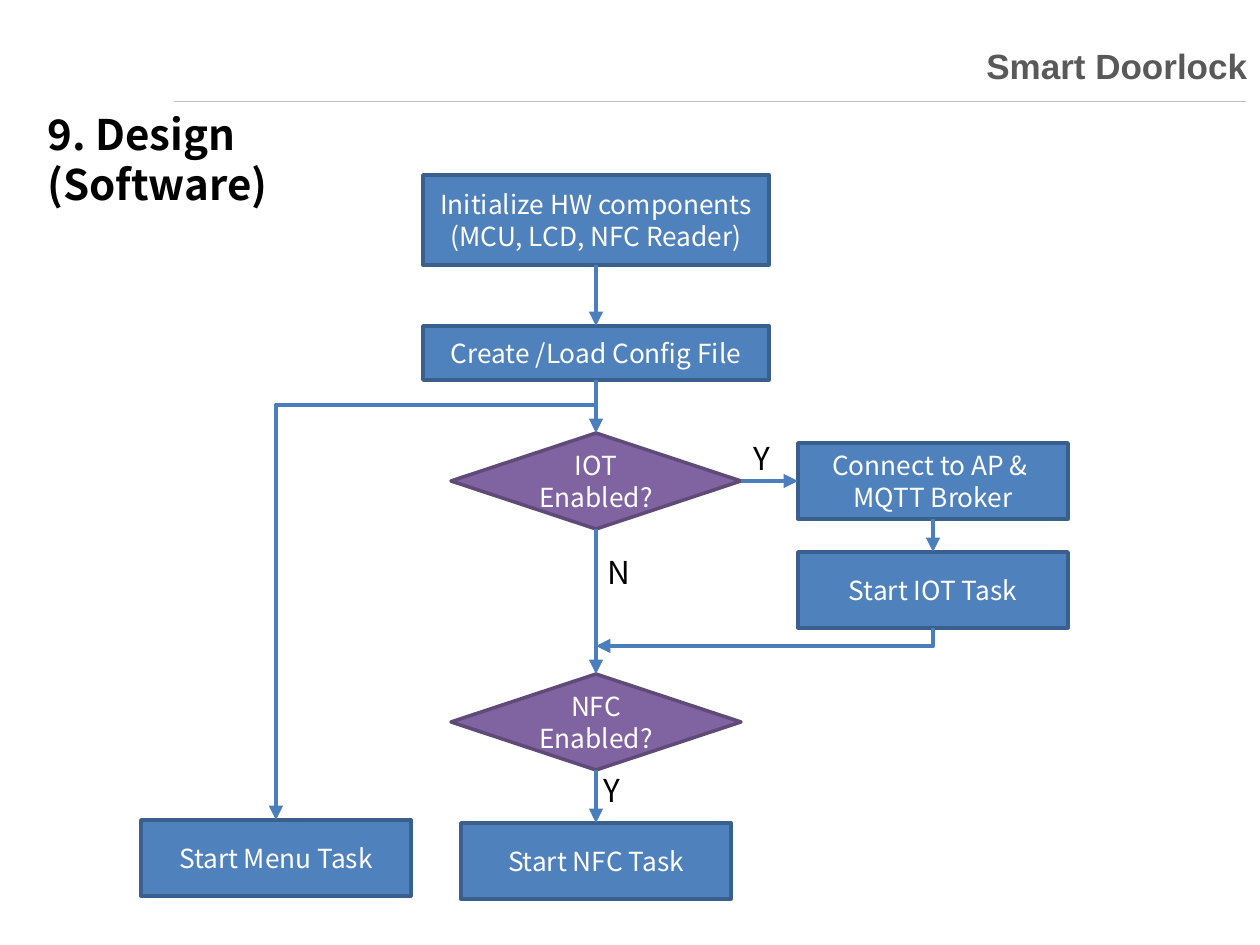
"""Build the Smart Doorlock software design flowchart slide."""
from lxml.etree import SubElement
from pptx import Presentation
from pptx.dml.color import RGBColor
from pptx.enum.dml import MSO_LINE
from pptx.enum.shapes import MSO_CONNECTOR as Link, MSO_SHAPE as Form
from pptx.enum.text import MSO_ANCHOR as Anchor, PP_ALIGN as Align
from pptx.oxml.ns import qn
from pptx.util import Pt

HUES = {"blue": "4F81BD", "navy": "3A5F8C", "purple": "8064A2", "plum": "5F4A78",
        "arrow": "4B7EBC", "rule": "BFBFBF", "title": "595959",
        "white": "FFFFFF", "black": "000000"}
FONT = "Noto Sans CJK KR"
MID, SIDE, MENU = 596, 933, 276
STEP = (Form.RECTANGLE, "blue", "navy")
TEST = (Form.FLOWCHART_DECISION, "purple", "plum")

NODES = {
    "init": (STEP, MID, 175, 346, 90, "Initialize HW components\v(MCU, LCD, NFC Reader)"),
    "config": (STEP, MID, 326, 346, 54, "Create /Load Config File"),
    "iot?": (TEST, MID, 433, 290, 96, "IOT\vEnabled?"),
    "connect": (STEP, SIDE, 443, 270, 76, "Connect to AP & \nMQTT Broker"),
    "iot": (STEP, SIDE, 552, 270, 76, "Start IOT Task"),
    "nfc?": (TEST, MID, 674, 290, 96, "NFC\nEnabled?"),
    "nfc": (STEP, MID, 823, 270, 76, "Start NFC Task"),
    "menu": (STEP, MENU, 820, 270, 76, "Start Menu Task"),
}
FLOWS = [("init", 2, "config", 0), ("config", 2, "iot?", 0), ("iot?", 3, "connect", 1),
         ("connect", 2, "iot", 0), ("iot?", 2, "nfc?", 0), ("nfc?", 2, "nfc", 0)]
BENDS = [(MID, 405, "menu", 0, "tailEnd"), (MID, 646, "iot", 2, "headEnd")]
LABELS = [("9. Design (Software)", 35, 102, 430, 63, 24, True),
          ("Y", 741, 433, 43, 50, 18, False),
          ("N", 595, 547, 49, 50, 18, False),
          ("Y", 591, 765, 43, 50, 18, False)]


def px(*nums):
    return [round(n * 914400 / 126) for n in nums]


def hue(name):
    return RGBColor.from_string(HUES[name])


def write(frame, text, size=15, color="white", bold=False, font=FONT,
          align=Align.CENTER, anchor=Anchor.MIDDLE, wrap=True):
    frame.word_wrap = wrap
    frame.vertical_anchor = anchor
    frame.text = text
    for para in frame.paragraphs:
        para.alignment = align
        for run in para.runs:
            run.font.name, run.font.size, run.font.bold = font, Pt(size), bold
            run.font.color.rgb = hue(color)


def draw(kind, ends, color="arrow", width=2.75, tip=None):
    link = slide.shapes.add_connector(kind, *px(*ends))
    link.line.color.rgb = hue(color)
    link.line.width = Pt(width)
    if tip:
        SubElement(link.line._get_or_add_ln(), qn("a:" + tip), type="triangle")
    SubElement(link._element.spPr, qn("a:effectLst"))
    return link


deck = Presentation()
deck.slide_width, deck.slide_height = px(1260, 945)
slide = deck.slides.add_slide(deck.slide_layouts[5])

rule = draw(Link.STRAIGHT, (174, 101, 1245, 101), "rule", 0.25)
rule.line.dash_style = MSO_LINE.ROUND_DOT
title = slide.shapes.title
title.left, title.top, title.width, title.height = px(126, 37, 1134, 57)
write(title.text_frame, "Smart Doorlock", size=20, color="title", bold=True,
      font="Arial", align=Align.RIGHT)

boxes = {}
for key, ((form, fill, edge), mid, top, wide, high, text) in NODES.items():
    box = slide.shapes.add_shape(form, *px(mid - wide / 2, top, wide, high))
    box.shadow.inherit = False
    box.fill.solid()
    box.fill.fore_color.rgb = hue(fill)
    box.line.color.rgb = hue(edge)
    box.line.width = Pt(2)
    write(box.text_frame, text)
    boxes[key] = box

for start, out, end, into in FLOWS:
    link = draw(Link.STRAIGHT, (0, 0, 0, 0), tip="tailEnd")
    link.begin_connect(boxes[start], out)
    link.end_connect(boxes[end], into)

for x, y, key, site, tip in BENDS:
    link = draw(Link.ELBOW, (x, y, x, y), tip=tip)
    link._element.spPr.find(qn("a:prstGeom")).set("prst", "bentConnector2")
    link.end_connect(boxes[key], site)

for text, left, top, wide, high, size, bold in LABELS:
    label = slide.shapes.add_textbox(*px(left, top, wide, high))
    write(label.text_frame, text, size=size, color="black", bold=bold,
          align=Align.LEFT, anchor=Anchor.TOP, wrap=bold)

deck.save("out.pptx")
